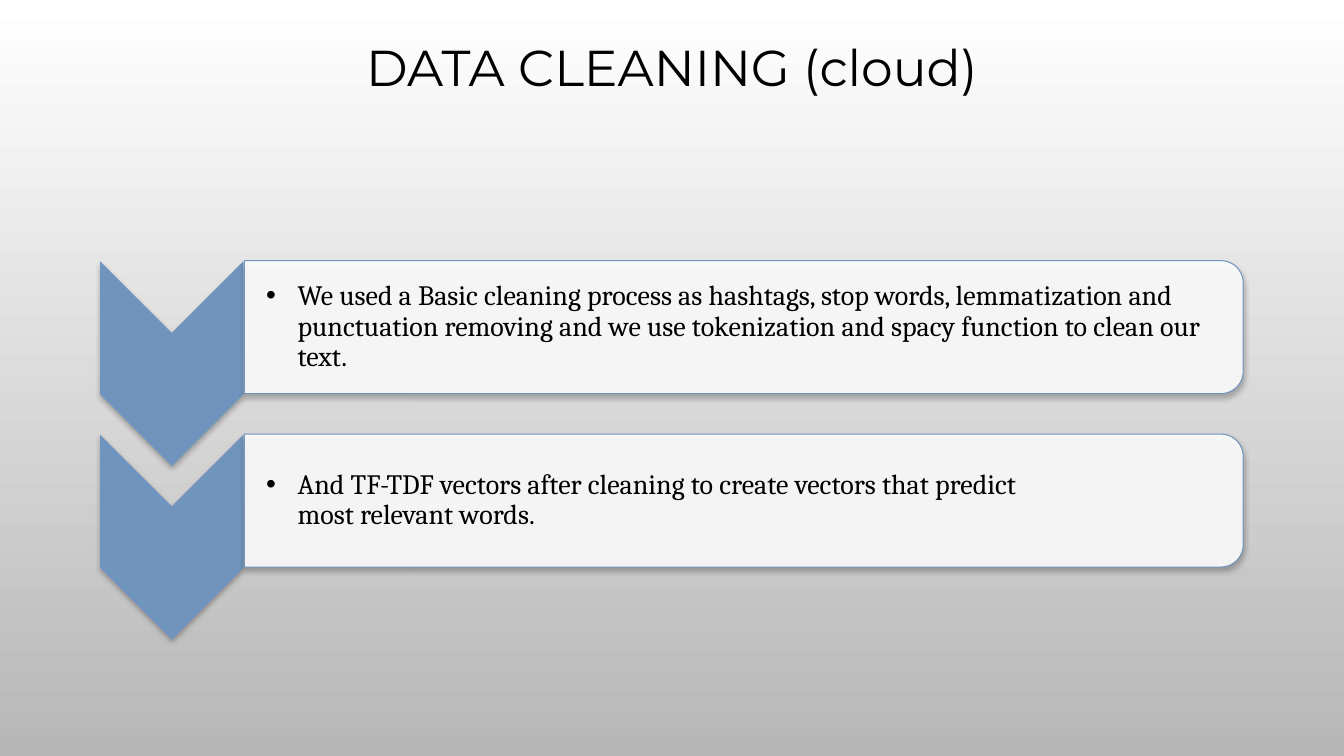
"""Build the data cleaning slide: two chevron steps, each with a rounded text panel."""
import lxml.etree
import pptx
import pptx.dml.color
import pptx.enum.dml
import pptx.enum.shapes
import pptx.enum.text
import pptx.oxml
import pptx.oxml.ns
import pptx.util

Cm = pptx.util.Cm
Pt = pptx.util.Pt
RGB = pptx.dml.color.RGBColor
qn = pptx.oxml.ns.qn
Preset = pptx.enum.shapes.MSO_SHAPE
Align = pptx.enum.text.PP_ALIGN

THEME = {
    "top": RGB(0xFF, 0xFF, 0xFF),
    "bottom": RGB(0xB7, 0xB7, 0xB7),
    "ink": RGB(0, 0, 0),
    "accent": RGB(0x70, 0x94, 0xBD),
    "panel": RGB(0xFF, 0xFF, 0xFF),
    "title_font": "Montserrat",
    "body_font": "Cambria",
    "title_size": Pt(36),
    "body_size": Pt(20),
}
SHADOW = (
    '<a:effectLst xmlns:a="http://schemas.openxmlformats.org/drawingml/2006/main">'
    '<a:outerShdw blurRad="50800" dist="25400" dir="5400000" rotWithShape="0">'
    '<a:srgbClr val="000000"><a:alpha val="27000"/></a:srgbClr>'
    "</a:outerShdw></a:effectLst>"
)
STEPS = [
    ("We used a Basic cleaning process as hashtags, stop words, lemmatization and "
     "punctuation removing and we use tokenization and spacy function to clean our text.",
     Cm(25.02)),
    ("And TF-TDF vectors after cleaning to create vectors that predict "
     "most relevant words.", Cm(20.7)),
]
STEP_PITCH = Cm(4.37)


def write_text(box, text, *, font, size, align, insets, bullet=False):
    """Fill a text shape with one formatted paragraph."""
    frame = box.text_frame
    frame.word_wrap = True
    frame.vertical_anchor = pptx.enum.text.MSO_ANCHOR.MIDDLE
    frame.margin_left, frame.margin_top, frame.margin_right, frame.margin_bottom = insets
    para = frame.paragraphs[0]
    para.alignment = align
    para.line_spacing = 0.9
    span = para.add_run()
    span.text = text
    span.font.name = font
    span.font.size = size
    span.font.color.rgb = THEME["ink"]
    if bullet:
        settings = para._p.get_or_add_pPr()
        settings.set("marL", str(Cm(0.79)))
        settings.set("indent", str(-Cm(0.79)))
        color = lxml.etree.SubElement(settings, qn("a:buClr"))
        lxml.etree.SubElement(color, qn("a:srgbClr"), val=str(THEME["ink"]))
        lxml.etree.SubElement(settings, qn("a:buFont"), typeface="Arial")
        lxml.etree.SubElement(settings, qn("a:buChar"), char="•")


def add_turned_shape(page, preset, bounds, adjustments, color):
    """Add a filled preset shape, turned a quarter clockwise, with a soft shadow."""
    shape = page.shapes.add_shape(preset, *bounds)
    shape.rotation = 90
    for index, value in enumerate(adjustments):
        shape.adjustments[index] = value
    shape.fill.solid()
    shape.fill.fore_color.rgb = color
    shape.line.fill.background()
    shape._element.spPr.append(pptx.oxml.parse_xml(SHADOW))
    return shape


deck = pptx.Presentation()
deck.slide_width = Cm(33.87)
deck.slide_height = Cm(19.05)
page = deck.slides.add_slide(deck.slide_layouts[5])

backdrop = page.background.fill
backdrop.gradient()
backdrop.gradient_angle = 270
for stop, position, name in zip(backdrop.gradient_stops, (0, 1), ("top", "bottom")):
    stop.position = position
    stop.color.rgb = THEME[name]

title = page.shapes.title
title.left, title.top, title.width, title.height = Cm(2.54), Cm(0.1), Cm(28.78), Cm(3.35)
write_text(title, "DATA CLEANING (cloud)", font=THEME["title_font"],
           size=THEME["title_size"], align=Align.CENTER,
           insets=(Cm(0.25), Cm(0.13), Cm(0.25), Cm(0.13)))

for number, (text, text_width) in enumerate(STEPS):
    offset = number * STEP_PITCH
    add_turned_shape(page, Preset.CHEVRON,
                     (Cm(1.75), Cm(7.36) + offset, Cm(5.16), Cm(3.61)),
                     [0.5], THEME["accent"])
    panel = add_turned_shape(page, Preset.ROUND_2_SAME_RECTANGLE,
                             (Cm(17.07), Cm(-4.34) + offset, Cm(3.35), Cm(25.17)),
                             [0.167, 0], THEME["panel"])
    panel.line.color.rgb = THEME["accent"]
    panel.line.width = Pt(0.75)
    panel_color = panel._element.spPr.find(qn("a:solidFill")).find(qn("a:srgbClr"))
    lxml.etree.SubElement(panel_color, qn("a:alpha"), val="89000")
    label = page.shapes.add_textbox(Cm(6.15), Cm(6.73) + offset, text_width, Cm(3.02))
    write_text(label, text, font=THEME["body_font"], size=THEME["body_size"],
               align=Align.LEFT, insets=(Cm(0.56), Cm(0.05), Cm(0.05), Cm(0.05)),
               bullet=True)

deck.save("out.pptx")
